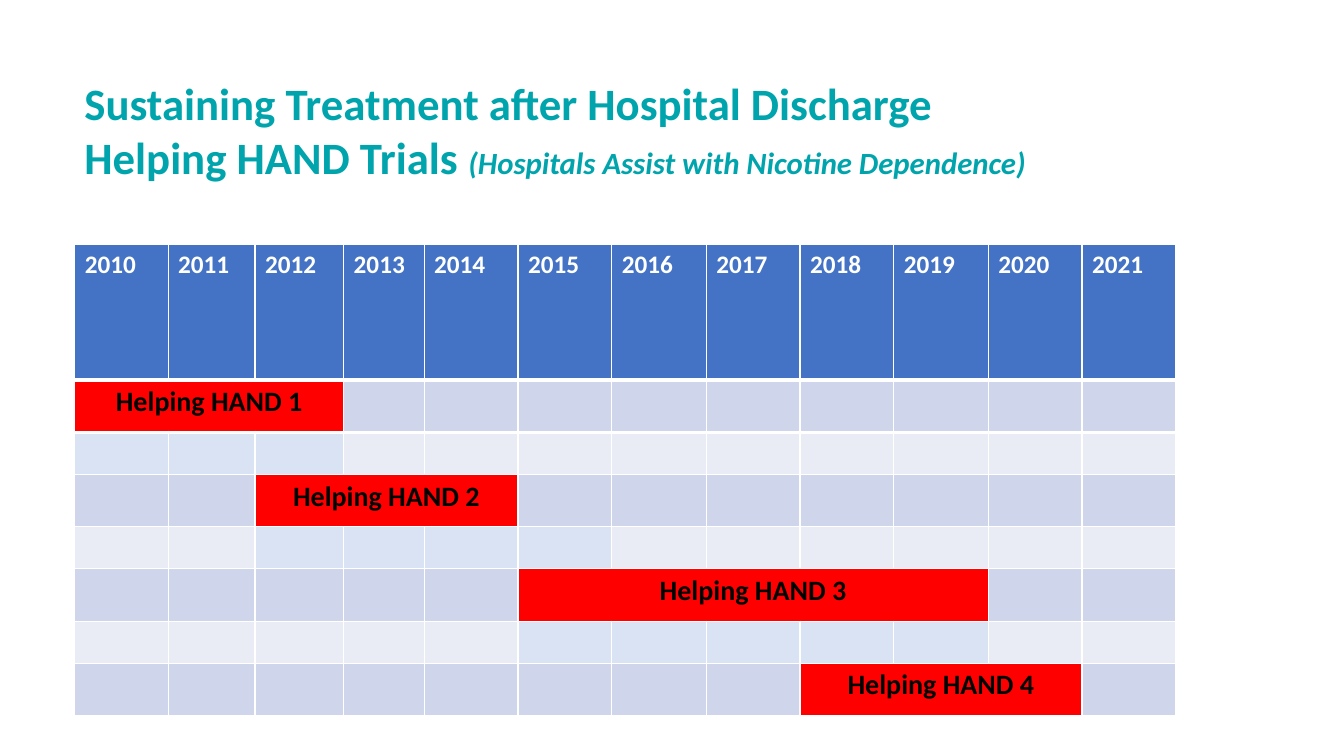
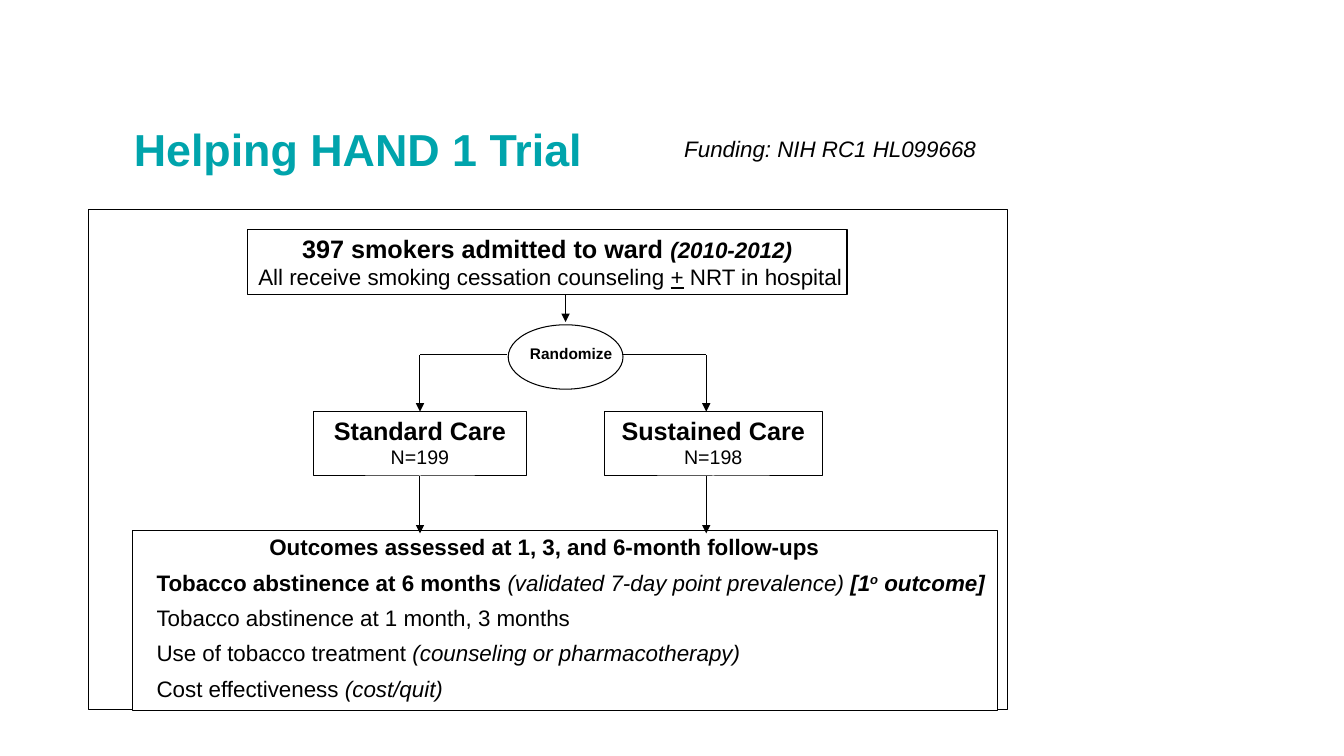
from dataclasses import dataclass, field

from lxml import etree
from pptx import Presentation
from pptx import util as u
from pptx.dml.color import RGBColor
from pptx.enum import shapes, text
from pptx.oxml import ns

TEAL = RGBColor(0x00, 0xA4, 0xAC)
BLACK = RGBColor(0x00, 0x00, 0x00)
WHITE = RGBColor(0xFF, 0xFF, 0xFF)
BLUE = RGBColor(0x44, 0x72, 0xC4)
RED = RGBColor(0xFF, 0x00, 0x00)
DARK = RGBColor(0xCF, 0xD5, 0xEA)
LIGHT = RGBColor(0xE9, 0xEB, 0xF5)
TINT = RGBColor(0xDA, 0xE3, 0xF3)

SANS = "Arial"
BODY = "Calibri"
MID = text.PP_ALIGN.CENTER
LEFT = text.PP_ALIGN.LEFT
RECT = shapes.MSO_SHAPE.RECTANGLE
OVAL = shapes.MSO_SHAPE.OVAL


@dataclass
class Area:
    left: float
    top: float
    width: float
    height: float

    def pts(self) -> list:
        return [u.Pt(n) for n in (self.left, self.top, self.width, self.height)]


@dataclass
class Bit:
    words: str
    size: float = 16
    bold: bool = False
    slant: bool = False
    under: bool = False
    lift: bool = False


@dataclass
class Line:
    bits: list
    align: object = MID
    indent: float = 0
    before: float = 0


@dataclass
class Box:
    area: Area
    lines: list = field(default_factory=list)
    form: object = RECT
    solid: bool = True
    edge: float = 0


@dataclass
class Trial:
    name: str
    first: int
    years: int
    tint: int


@dataclass
class Arm:
    start: float
    drop: float
    box: Box
    join: bool


TRIALS = [
    Trial("Helping HAND 1", 0, 3, 3),
    Trial("Helping HAND 2", 2, 3, 4),
    Trial("Helping HAND 3", 5, 5, 5),
    Trial("Helping HAND 4", 8, 3, 0),
]
COLS = [66.7, 62, 63.4, 57.5, 67, 67, 67.5, 67, 67, 67.5, 67, 67]
ROWS = [97.2] + [37.4, 30] * 3 + [37.4]


def style(run, bit: Bit, face: str, color: RGBColor) -> None:
    font = run.font
    font.name, font.size = face, u.Pt(bit.size)
    font.bold, font.italic, font.underline = bit.bold, bit.slant, bit.under
    font.color.rgb = color
    if bit.lift:
        run._r.get_or_add_rPr().set("baseline", "30000")


def write(frame, lines: list, face: str = SANS, color: RGBColor = BLACK) -> None:
    for spot, line in enumerate(lines):
        para = frame.add_paragraph() if spot else frame.paragraphs[0]
        para.alignment = line.align
        para.space_before = u.Pt(line.before)
        if line.indent:
            props = para._p.get_or_add_pPr()
            props.set("marL", str(int(u.Pt(line.indent))))
            props.set("indent", "0")
        for bit in line.bits:
            run = para.add_run()
            run.text = bit.words
            style(run, bit, face, color)


def label(slide, area: Area, lines: list, face: str = SANS,
          color: RGBColor = BLACK, inset: float | None = None) -> None:
    frame = slide.shapes.add_textbox(*area.pts()).text_frame
    frame.word_wrap = True
    if inset is not None:
        pad(frame, inset)
    write(frame, lines, face, color)


def title(slide, area: Area, face: str, rows: list) -> None:
    label(slide, area, [Line(bits, LEFT) for bits in rows], face, TEAL)


def pad(frame, inset: float) -> None:
    frame.margin_left = frame.margin_right = u.Pt(inset)
    frame.margin_top = frame.margin_bottom = u.Pt(inset)


def draw(slide, box: Box):
    shape = slide.shapes.add_shape(box.form, *box.area.pts())
    shape.shadow.inherit = False
    if box.solid:
        shape.fill.solid()
        shape.fill.fore_color.rgb = WHITE
    else:
        shape.fill.background()
    shape.line.color.rgb = BLACK
    shape.line.width = u.Pt(box.edge)
    if box.lines:
        frame = shape.text_frame
        frame.word_wrap = True
        frame.vertical_anchor = text.MSO_ANCHOR.TOP
        pad(frame, 2.5)
        write(frame, box.lines)
    return shape


def link(slide, start: tuple, end: tuple, arrow: bool = False):
    line = slide.shapes.add_connector(
        shapes.MSO_CONNECTOR.STRAIGHT, *[u.Pt(n) for n in start + end])
    line.line.color.rgb = BLACK
    line.line.width = u.Pt(0.75)
    if arrow:
        etree.SubElement(line.line._get_or_add_ln(), ns.qn("a:tailEnd"), type="triangle")
    etree.SubElement(line._element.spPr, ns.qn("a:effectLst"))
    return line


def paint(cell, color: RGBColor) -> None:
    cell.fill.solid()
    cell.fill.fore_color.rgb = color


def rule(cell, side: str) -> None:
    edge = etree.Element(ns.qn(side), w=str(int(u.Pt(3))))
    wash = etree.SubElement(edge, ns.qn("a:solidFill"))
    etree.SubElement(wash, ns.qn("a:srgbClr"), val=str(WHITE))
    cell._tc.get_or_add_tcPr().insert(0, edge)


def fill(cell, words: str, size: float, color: RGBColor, align) -> None:
    cell.text = words
    para = cell.text_frame.paragraphs[0]
    para.alignment = align
    style(para.runs[0], Bit(words, size, True), BODY, color)


def chart(slide) -> None:
    area = Area(53.4, 174.4, sum(COLS), sum(ROWS))
    grid = slide.shapes.add_table(len(ROWS), len(COLS), *area.pts()).table
    for col, width in zip(grid.columns, COLS):
        col.width = u.Pt(width)
    for row, height in zip(grid.rows, ROWS):
        row.height = u.Pt(height)
    for r in range(len(ROWS)):
        for c in range(len(COLS)):
            paint(grid.cell(r, c), BLUE if r == 0 else DARK if r % 2 else LIGHT)
    for c in range(len(COLS)):
        fill(grid.cell(0, c), str(2010 + c), 18, WHITE, LEFT)
        rule(grid.cell(0, c), "a:lnB")
        rule(grid.cell(1, c), "a:lnT")
    for n, trial in enumerate(TRIALS):
        r = 2 * n + 1
        bar = grid.cell(r, trial.first)
        bar.merge(grid.cell(r, trial.first + trial.years - 1))
        paint(bar, RED)
        fill(bar, trial.name, 20, BLACK, MID)
        for c in range(trial.first, trial.first + trial.tint):
            paint(grid.cell(r + 1, c), TINT)


def group(left: float, width: float, name: str, count: str) -> Box:
    return Box(Area(left, 294, width, 46),
               [Line([Bit(name, 18, True)]), Line([Bit(count, 14)])])


def item(*bits: Bit) -> Line:
    return Line(list(bits), LEFT, 14.4, 6)


def flow(slide) -> None:
    draw(slide, Box(Area(63.5, 149.6, 656, 357), solid=False, edge=0.5))
    draw(slide, Box(Area(95, 378.6, 617.5, 129), [
        Line([Bit("Outcomes assessed at 1, 3, and 6-month follow-ups", bold=True)],
             LEFT, 95, 1),
        item(Bit("Tobacco abstinence at 6 months ", bold=True),
             Bit("(validated 7-day point prevalence) ", slant=True),
             Bit("[1", bold=True, slant=True),
             Bit("o", bold=True, slant=True, lift=True),
             Bit(" outcome]", bold=True, slant=True)),
        item(Bit("Tobacco abstinence at 1 month, 3 months")),
        item(Bit("Use of tobacco treatment "),
             Bit("(counseling or pharmacotherapy)", slant=True)),
        item(Bit("Cost effectiveness "), Bit("(cost/quit)", slant=True)),
    ]))
    draw(slide, Box(Area(176.5, 163.8, 428.5, 46.3), [
        Line([Bit("397 smokers admitted to ward ", 18, True),
              Bit("(2010-2012)", bold=True, slant=True)]),
        Line([Bit("All receive smoking cessation counseling "),
              Bit("+", under=True), Bit(" NRT in hospital")], indent=4.4),
    ]))
    draw(slide, Box(Area(363, 232, 82, 46), form=OVAL))
    label(slide, Area(371, 243, 74, 26.5),
          [Line([Bit("Randomize", 11, True)])], inset=2.5)
    link(slide, (404, 210.5), (404, 230), True)
    arms = [
        Arm(362, 300, group(224, 152, "Standard Care", "N=199"), True),
        Arm(444, 504.5, group(431.5, 156, "Sustained Care", "N=198"), False),
    ]
    for arm in arms:
        x, area = arm.drop, arm.box.area
        shape = draw(slide, arm.box)
        link(slide, (arm.start, 253.5), (x, 253.5))
        top = link(slide, (x, 253.5), (x, area.top), True)
        low = link(slide, (x, area.top + area.height), (x, 381), True)
        if arm.join:
            top.end_connect(shape, 0)
            low.begin_connect(shape, 2)


def main() -> None:
    deck = Presentation()
    deck.slide_width, deck.slide_height = u.Pt(960), u.Pt(540)
    blank = deck.slide_layouts[6]

    slide = deck.slides.add_slide(blank)
    chart(slide)
    title(slide, Area(53.2, 50.7, 724, 124), BODY, [
        [Bit("Sustaining Treatment after Hospital Discharge", 32, True)],
        [Bit("Helping HAND Trials ", 32, True),
         Bit("(Hospitals Assist with Nicotine Dependence)", 22, True, True)],
    ])

    slide = deck.slides.add_slide(blank)
    flow(slide)
    title(slide, Area(88.5, 83.6, 380, 46), SANS,
          [[Bit("Helping HAND 1 Trial", 32, True)]])
    label(slide, Area(480, 93, 226, 26.6),
          [Line([Bit("Funding: NIH RC1 HL099668", slant=True)])])

    deck.save("out.pptx")


if __name__ == "__main__":
    main()
